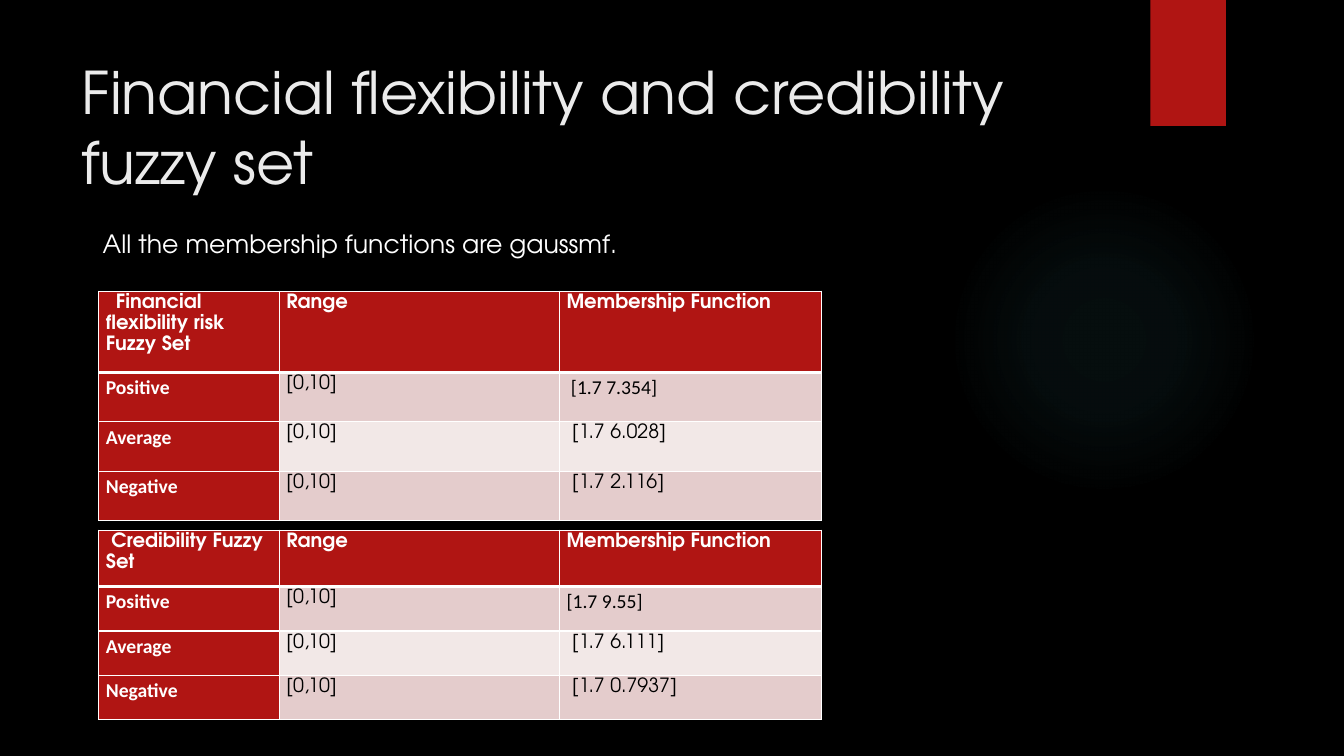
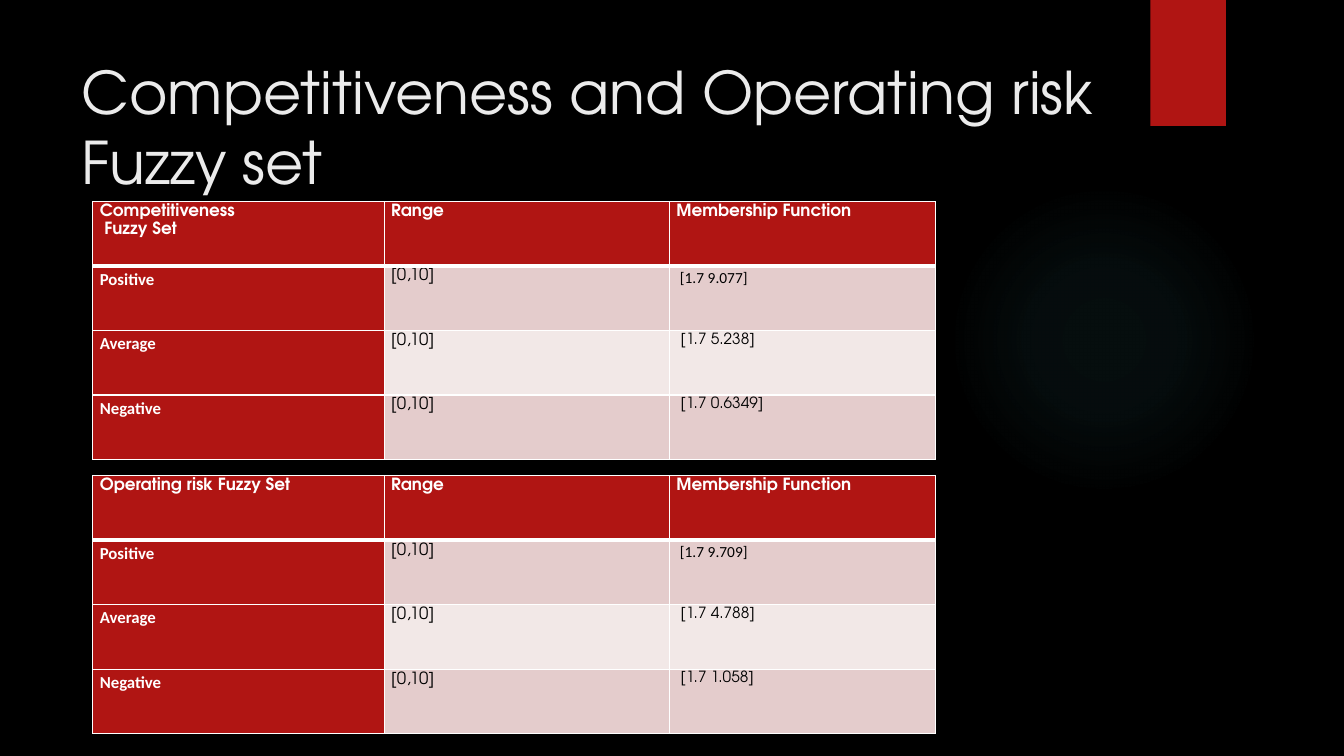
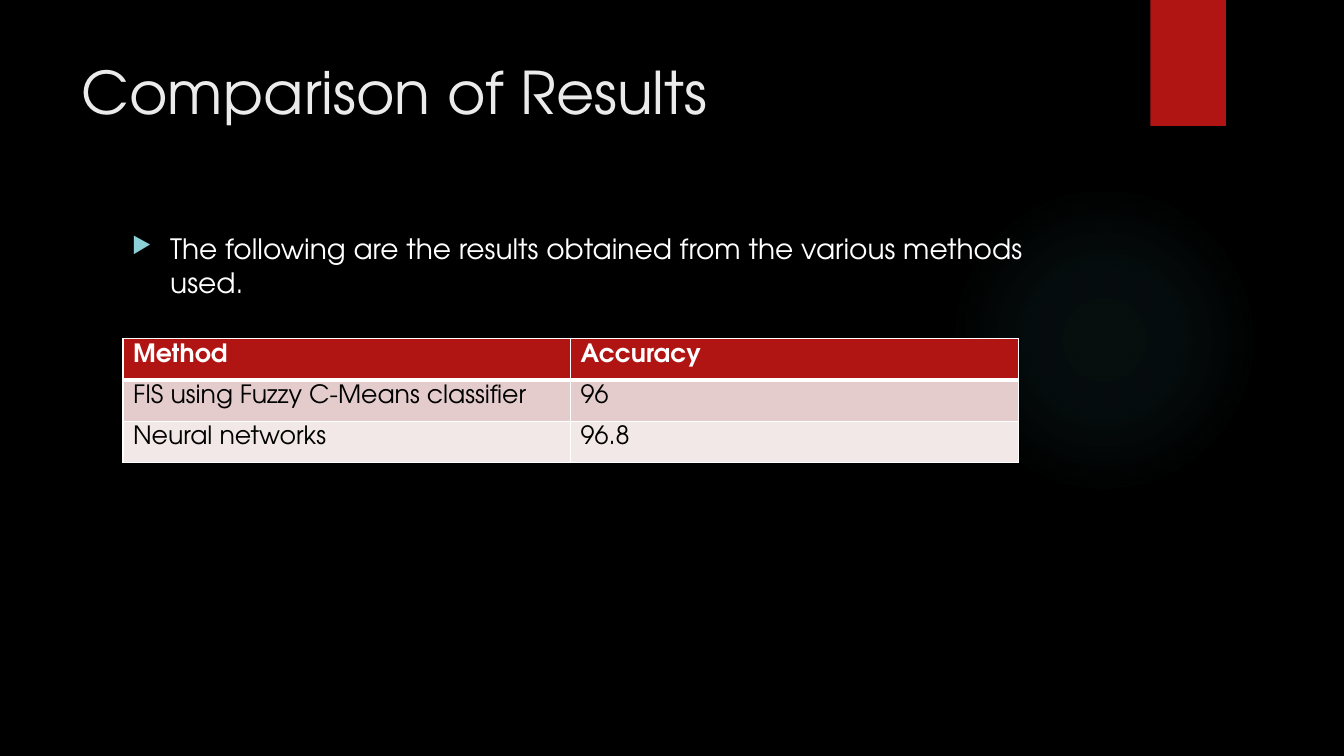
from lxml import etree
from pptx import Presentation
from pptx.dml.color import RGBColor
from pptx.enum import shapes
from pptx.oxml import ns, parse_xml
from pptx.util import Inches, Pt

BLACK = RGBColor(0x00, 0x00, 0x00)
WHITE = RGBColor(0xFF, 0xFF, 0xFF)
TITLE_GREY = RGBColor(0xEB, 0xEB, 0xEB)
RED = RGBColor(0xB0, 0x15, 0x13)
TEAL = RGBColor(0x50, 0xB9, 0xC1)
BULLET_TEAL = RGBColor(0x8A, 0xD0, 0xD6)
BANDS = (RGBColor(0xE4, 0xCC, 0xCC), RGBColor(0xF2, 0xE8, 0xE7))
MAIN_FONT, LABEL_FONT = "TeX Gyre Adventor", "Calibri"
GLOW_STOPS = ((0, 7), (36, 6), (69, 0))  # position and opacity, percent


def fuzzy_rows(heading, *functions):
    """Rows of one fuzzy set: every label has the same range."""
    rows = [(heading, "Range", "Membership Function")]
    for label, function in zip(("Positive", "Average", "Negative"), functions):
        rows.append((label, "[0,10]", function))
    return rows


# Table layouts
SMALL_SETS = dict(left=0.98, columns=(1.79, 2.78, 2.6), size=14, value_size=14)
LARGE_SETS = dict(left=0.92, columns=(2.89, 2.83, 2.64), size=12, value_size=11,
                  heights=(0.64,) * 4)
RESULTS = dict(left=1.22, columns=(4.44, 4.44), size=18, value_size=18,
               heights=(0.41,) * 3, labelled=False, margins=(0.1, 0.05), spacing=1.0)

# Content
SLIDES = [
    dict(
        title="Financial flexibility and credibility fuzzy set",
        note=dict(text="All the membership functions are gaussmf.",
                  box=(0.92, 2.22, 11.5, 0.71), size=18),
        tables=[
            dict(SMALL_SETS, top=2.89, heights=(0.61, 0.49, 0.49, 0.49), indent=0.1,
                 rows=fuzzy_rows("Financial flexibility risk Fuzzy Set",
                                 " [1.7 7.354]", " [1.7 6.028]", " [1.7 2.116]")),
            dict(SMALL_SETS, top=5.26, heights=(0.56, 0.44, 0.44, 0.44),
                 rows=fuzzy_rows(" Credibility Fuzzy Set",
                                 "[1.7 9.55]", " [1.7 6.111]", " [1.7 0.7937]")),
        ],
    ),
    dict(
        title="Competitiveness and Operating risk Fuzzy set",
        tables=[
            dict(LARGE_SETS, top=2,
                 rows=fuzzy_rows("Competitiveness\n Fuzzy Set",
                                 " [1.7 9.077]", " [1.7 5.238]", " [1.7 0.6349]")),
            dict(LARGE_SETS, top=4.72,
                 rows=fuzzy_rows("Operating risk Fuzzy Set",
                                 " [1.7 9.709]", " [1.7 4.788]", " [1.7 1.058]")),
        ],
    ),
    dict(
        title="Comparison of Results",
        note=dict(text="The following are the results obtained from the various methods used.",
                  box=(1.21, 2.25, 9.75, 0.9), size=20, bullet=True),
        tables=[
            dict(RESULTS, top=3.36,
                 rows=[("Method", "Accuracy"),
                       ("FIS using Fuzzy C-Means classifier", "96"),
                       ("Neural networks", "96.8")]),
        ],
    ),
]


def format_text(paragraph, size, color, font=MAIN_FONT, bold=False):
    for run in paragraph.runs:
        run.font.name = font
        run.font.size = Pt(size)
        run.font.bold = bold
        run.font.color.rgb = color


def add_text(slide, text, box, size, color=WHITE, bullet=False):
    frame = slide.shapes.add_textbox(*map(Inches, box)).text_frame
    frame.word_wrap = True
    frame.text = text
    paragraph = frame.paragraphs[0]
    format_text(paragraph, size, color)
    if bullet:
        properties = paragraph._p.get_or_add_pPr()
        properties.set("marL", str(Inches(0.38)))
        properties.set("indent", str(-Inches(0.38)))
        bullet_color = etree.SubElement(properties, ns.qn("a:buClr"))
        etree.SubElement(bullet_color, ns.qn("a:srgbClr"), val=str(BULLET_TEAL))
        etree.SubElement(properties, ns.qn("a:buSzPct"), val="80000")
        etree.SubElement(properties, ns.qn("a:buChar"), char="▶")


def add_backdrop(slide):
    """Black background, soft round glow and red ribbon."""
    slide.background.fill.solid()
    slide.background.fill.fore_color.rgb = BLACK
    preset = shapes.MSO_SHAPE
    glow, ribbon = (
        slide.shapes.add_shape(kind, *map(Inches, box))
        for kind, box in ((preset.OVAL, (9.41, 1.83, 3.08, 3.08)),
                          (preset.RECTANGLE, (11.41, 0, 0.75, 1.25)))
    )
    for shape in (glow, ribbon):
        shape.shadow.inherit = False
        shape.fill.solid()
        shape.fill.fore_color.rgb = RED
        shape.line.fill.background()
    stops = "".join(
        f'<a:gs pos="{position * 1000}"><a:srgbClr val="{TEAL}">'
        f'<a:alpha val="{opacity * 1000}"/></a:srgbClr></a:gs>'
        for position, opacity in GLOW_STOPS
    )
    gradient = parse_xml(
        f'<a:gradFill {ns.nsdecls("a")}><a:gsLst>{stops}</a:gsLst><a:path path="circle">'
        '<a:fillToRect l="50000" t="50000" r="50000" b="50000"/></a:path></a:gradFill>'
    )
    solid = glow._element.spPr.find(ns.qn("a:solidFill"))
    solid.getparent().replace(solid, gradient)


def set_borders(cell, row):
    """White hairlines, with a thick rule under the header."""
    widths = dict(lnL=1, lnR=1, lnT=3 if row == 1 else 1, lnB=3 if row == 0 else 1)
    properties = cell._tc.get_or_add_tcPr()
    for tag, width in widths.items():
        line = etree.SubElement(properties, ns.qn(f"a:{tag}"), w=str(Pt(width)))
        fill = etree.SubElement(line, ns.qn("a:solidFill"))
        etree.SubElement(fill, ns.qn("a:srgbClr"), val=str(WHITE))


def add_table(slide, left, top, columns, heights, rows, size, value_size,
              labelled=True, margins=(0.07, 0), spacing=1.15, indent=0):
    frame = slide.shapes.add_table(
        len(rows), len(columns), Inches(left), Inches(top),
        Inches(sum(columns)), Inches(sum(heights)))
    table = frame.table
    for column, width in zip(table.columns, columns):
        column.width = Inches(width)
    for table_row, height in zip(table.rows, heights):
        table_row.height = Inches(height)
    last = len(columns) - 1
    for r, values in enumerate(rows):
        for c, value in enumerate(values):
            cell = table.cell(r, c)
            label = labelled and r > 0 and c == 0
            strong = r == 0 or label
            # The first value of a fuzzy set shares the label font
            plain = label or (labelled and r == 1 and c == last)
            set_borders(cell, r)
            cell.fill.solid()
            cell.fill.fore_color.rgb = RED if strong else BANDS[(r - 1) % 2]
            cell.margin_left = cell.margin_right = Inches(margins[0])
            cell.margin_top = cell.margin_bottom = Inches(margins[1])
            cell.text_frame.text = value
            for paragraph in cell.text_frame.paragraphs:
                paragraph.line_spacing = spacing
                format_text(paragraph, value_size if r > 0 and c == last else size,
                            WHITE if strong else BLACK,
                            LABEL_FONT if plain else MAIN_FONT, strong)
    if indent:
        properties = table.cell(0, 0).text_frame.paragraphs[0]._p.get_or_add_pPr()
        properties.set("marL", "0")
        properties.set("indent", str(Inches(indent)))


def main():
    presentation = Presentation()
    presentation.slide_width = Inches(13.33)
    presentation.slide_height = Inches(7.5)
    for content in SLIDES:
        slide = presentation.slides.add_slide(presentation.slide_layouts[6])
        add_backdrop(slide)
        add_text(slide, content["title"], (0.71, 0.5, 10.29, 1.53), 42, TITLE_GREY)
        if "note" in content:
            add_text(slide, **content["note"])
        for table in content["tables"]:
            add_table(slide, **table)
    presentation.save("out.pptx")


if __name__ == "__main__":
    main()
